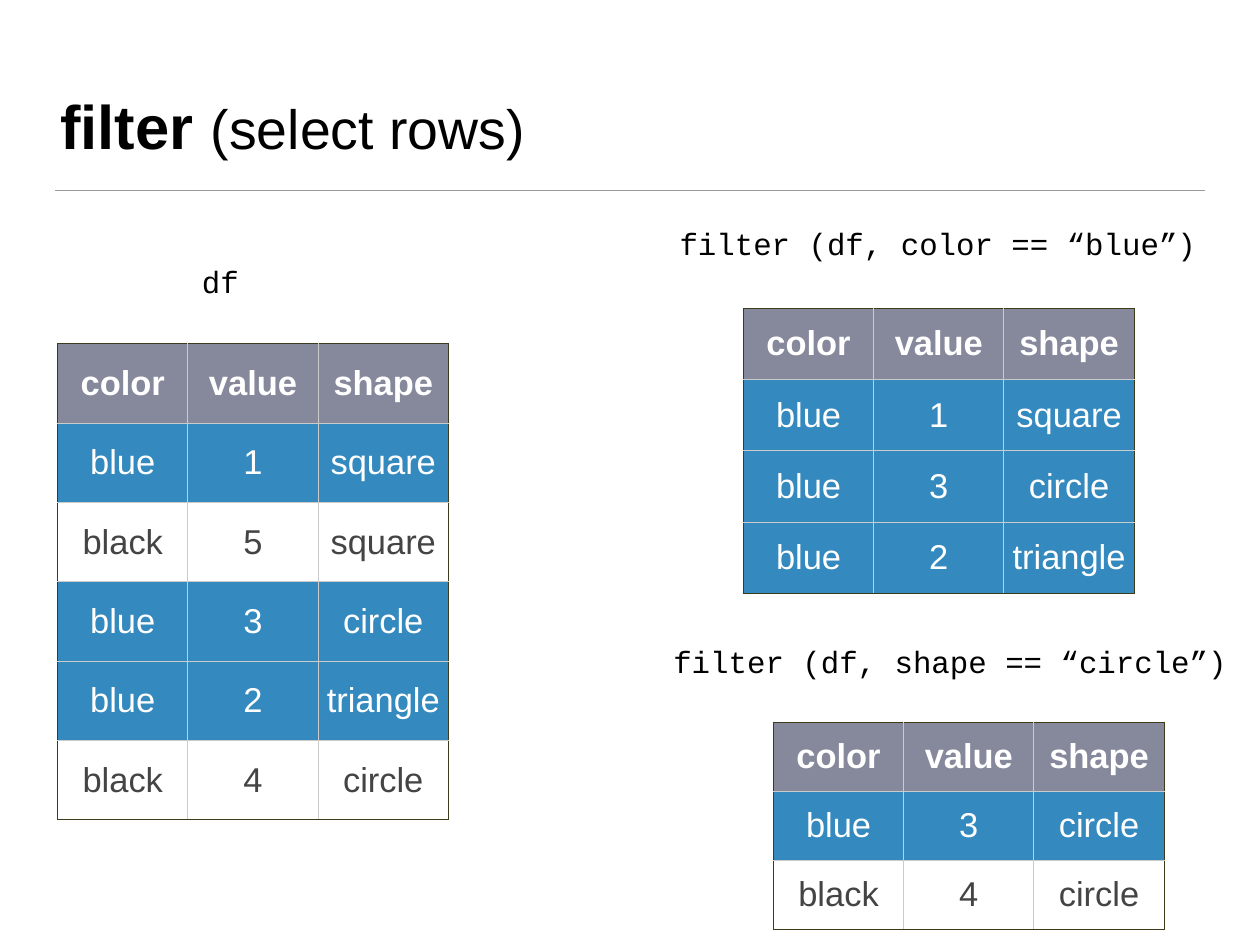
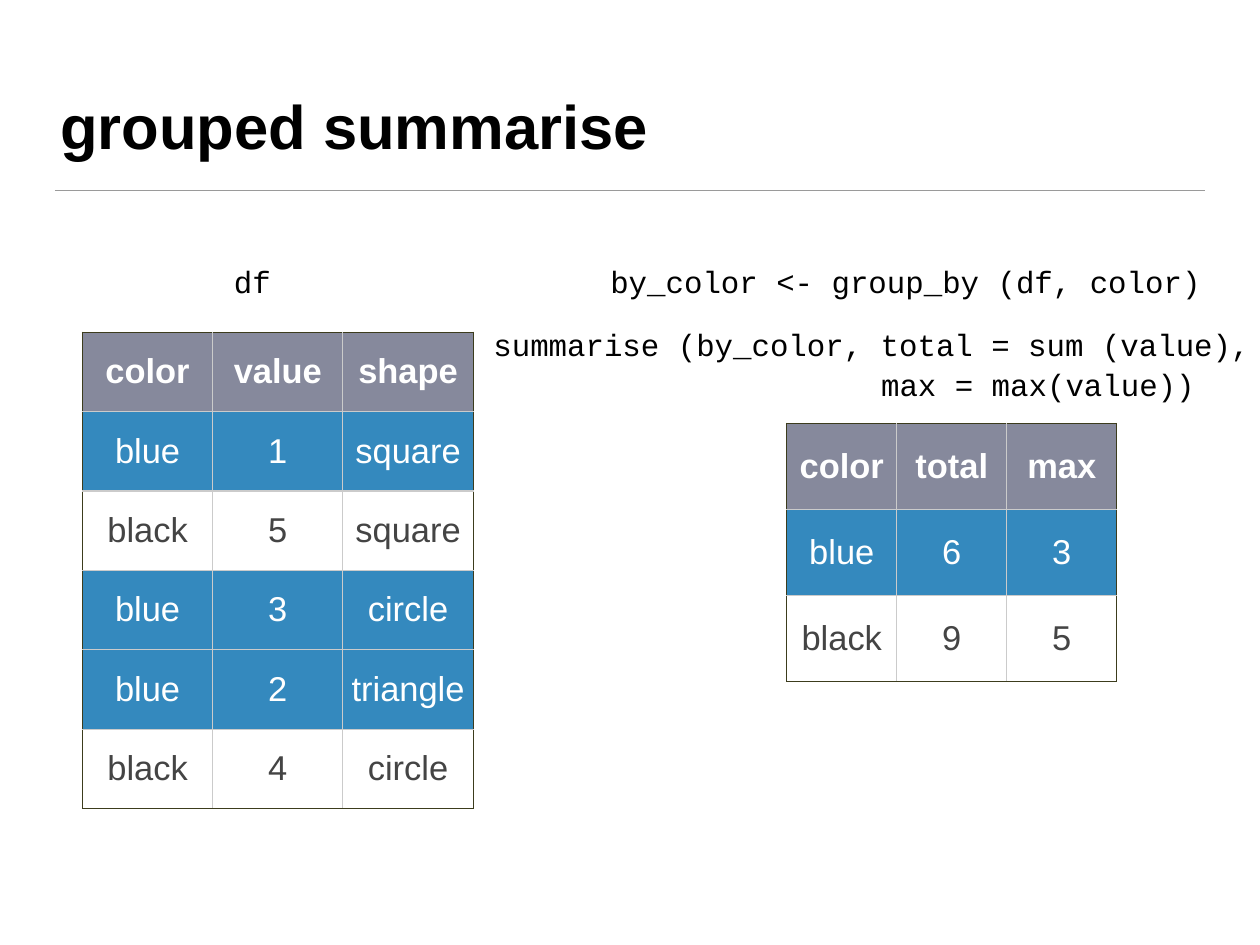
from lxml import etree
from pptx import Presentation, util as u
from pptx.dml.color import RGBColor
from pptx.enum import shapes, text
from pptx.oxml import ns

# Colours
BLACK = RGBColor(0x00, 0x00, 0x00)
WHITE = RGBColor(0xFF, 0xFF, 0xFF)
RULE_GREY = RGBColor(0x9A, 0x9A, 0x9A)
HEADER_GREY = RGBColor(0x86, 0x89, 0x9C)
ROW_BLUE = RGBColor(0x34, 0x89, 0xBE)
CELL_TEXT = RGBColor(0x44, 0x44, 0x44)
INNER_LINE = RGBColor(0xCB, 0xCB, 0xCB)
OUTER_LINE = RGBColor(0x3C, 0x3C, 0x1D)

# Fonts and sizes
SANS, MONO = "Arial", "Courier New"
CODE_SIZE = 25
CODE_ADVANCE = 0.6 * CODE_SIZE  # points per monospaced character
INSET = u.Inches(0.06)

# Data
HEADER = ("color", "value", "shape")
DATA = [
    ("blue", "1", "square"),
    ("black", "5", "square"),
    ("blue", "3", "circle"),
    ("blue", "2", "triangle"),
    ("black", "4", "circle"),
]
BLUE_ROWS = [row for row in DATA if row[0] == "blue"]
CIRCLE_ROWS = [row for row in DATA if row[2] == "circle"]
SUMMARY_HEADER = ("color", "total", "max")
SUMMARY_ROWS = [("blue", "6", "3"), ("black", "9", "5")]


def apply(target, **values):
    for name, value in values.items():
        setattr(target, name, value)


class Deck:
    """Slides on a grid of 100 columns by 75 rows."""

    COLUMNS, ROWS = 100, 75
    MARGIN, CONTENT_WIDTH = 4.36, 91.24

    def __init__(self):
        self.presentation = Presentation()
        apply(self.presentation, slide_width=u.Inches(14.22), slide_height=u.Inches(10.67))
        self.slide = None

    def x(self, columns):
        return u.Emu(round(self.presentation.slide_width * columns / self.COLUMNS))

    def y(self, rows):
        return u.Emu(round(self.presentation.slide_height * rows / self.ROWS))

    def new_slide(self, *title_runs):
        """Start a slide with its title and the rule below it."""
        self.slide = self.presentation.slides.add_slide(self.presentation.slide_layouts[6])
        frame = self.text_frame(self.MARGIN, 2.53, self.x(self.CONTENT_WIDTH), 10.76,
                                word_wrap=True, vertical_anchor=text.MSO_ANCHOR.BOTTOM)
        for words, size, bold in title_runs:
            self.run(frame.paragraphs[0], words, SANS, size, BLACK, bold)
        self.rule(15.12)

    def rule(self, row):
        line = self.slide.shapes.add_connector(
            shapes.MSO_CONNECTOR.STRAIGHT, self.x(self.MARGIN), self.y(row),
            self.x(self.MARGIN + self.CONTENT_WIDTH), self.y(row))
        line.line.color.rgb = RULE_GREY
        line.line.width = u.Pt(1)
        etree.SubElement(line._element.spPr, ns.qn("a:effectLst"))

    def text_frame(self, column, row, width, rows, **values):
        box = self.slide.shapes.add_textbox(self.x(column), self.y(row), width, self.y(rows))
        apply(box.text_frame, margin_left=INSET, margin_right=INSET,
              margin_top=INSET, margin_bottom=INSET, **values)
        return box.text_frame

    def run(self, paragraph, words, font, size, color, bold=False):
        run = paragraph.add_run()
        run.text = words
        apply(run.font, name=font, size=u.Pt(size), bold=bold)
        run.font.color.rgb = color

    def code(self, column, row, first, second=None, indent=0):
        """Code as wide as its first line; the second is indented by characters."""
        width = u.Pt(len(first) * CODE_ADVANCE) + 2 * INSET
        frame = self.text_frame(column, row, width, 7.03 if second else 3.8,
                                word_wrap=False, vertical_anchor=text.MSO_ANCHOR.MIDDLE)
        self.run(frame.paragraphs[0], first, MONO, CODE_SIZE, BLACK)
        if second:
            paragraph = frame.add_paragraph()
            paragraph.space_before = u.Pt(2.5)
            paragraph._p.get_or_add_pPr().set("marL", str(u.Pt(indent * CODE_ADVANCE)))
            self.run(paragraph, second, MONO, CODE_SIZE, BLACK)

    def table(self, column, row, header, body, row_height, column_width=10.34):
        lines = [header, *body]
        table = self.slide.shapes.add_table(
            len(lines), len(header), self.x(column), self.y(row),
            self.x(column_width * len(header)), self.y(row_height * len(lines))).table
        apply(table, first_row=False, horz_banding=False)
        for table_column in table.columns:
            table_column.width = self.x(column_width)
        for i, values in enumerate(lines):
            table.rows[i].height = self.y(row_height)
            if i == 0:
                fill, color = HEADER_GREY, WHITE
            elif values[0] == "blue":
                fill, color = ROW_BLUE, WHITE
            else:
                fill, color = WHITE, CELL_TEXT
            for j, value in enumerate(values):
                cell = table.cell(i, j)
                outer = {"L": j == 0, "R": j == len(header) - 1,
                         "T": i == 0, "B": i == len(lines) - 1}
                self.borders(cell, outer)
                self.cell(cell, value, fill, color, bold=i == 0)

    def cell(self, cell, value, fill, color, bold):
        apply(cell, margin_left=INSET, margin_right=INSET, margin_top=INSET,
              margin_bottom=INSET, vertical_anchor=text.MSO_ANCHOR.MIDDLE)
        cell.fill.solid()
        cell.fill.fore_color.rgb = fill
        paragraph = cell.text_frame.paragraphs[0]
        paragraph.alignment = text.PP_ALIGN.CENTER
        self.run(paragraph, value, SANS, 28, color, bold)

    def borders(self, cell, outer):
        properties = cell._tc.get_or_add_tcPr()
        for side, is_outer in outer.items():
            line = etree.SubElement(properties, ns.qn(f"a:ln{side}"), w=str(u.Pt(1)))
            fill = etree.SubElement(line, ns.qn("a:solidFill"))
            etree.SubElement(fill, ns.qn("a:srgbClr"),
                             val=str(OUTER_LINE if is_outer else INNER_LINE))


def main():
    deck = Deck()

    # Filter: the data and two selections of its rows
    deck.new_slide(("filter ", 50, True), ("(select rows)", 45, False))
    deck.code(15.61, 20.39, "df")
    deck.table(4.57, 27.28, HEADER, DATA, 6.3)
    deck.code(53.51, 17.37, "filter (df, color == “blue”)")
    deck.table(59, 24.47, HEADER, BLUE_ROWS, 5.66)
    deck.code(53.02, 50.56, "filter (df, shape == “circle”)")
    deck.table(61.38, 57.31, HEADER, CIRCLE_ROWS, 5.48)

    # Grouped summarise: the data and one row per colour
    deck.new_slide(("grouped summarise", 50, True))
    deck.code(18.14, 20.39, "df")
    deck.table(6.54, 26.37, HEADER, DATA, 6.3)
    deck.code(48.02, 20.39, "by_color <- group_by (df, color)")
    call = "summarise (by_color, total = sum (value),"
    deck.code(38.74, 25.38, call, "max = max(value))", indent=call.index("total"))
    deck.table(62.44, 33.61, SUMMARY_HEADER, SUMMARY_ROWS, 6.84, column_width=8.73)

    deck.presentation.save("out.pptx")


if __name__ == "__main__":
    main()
